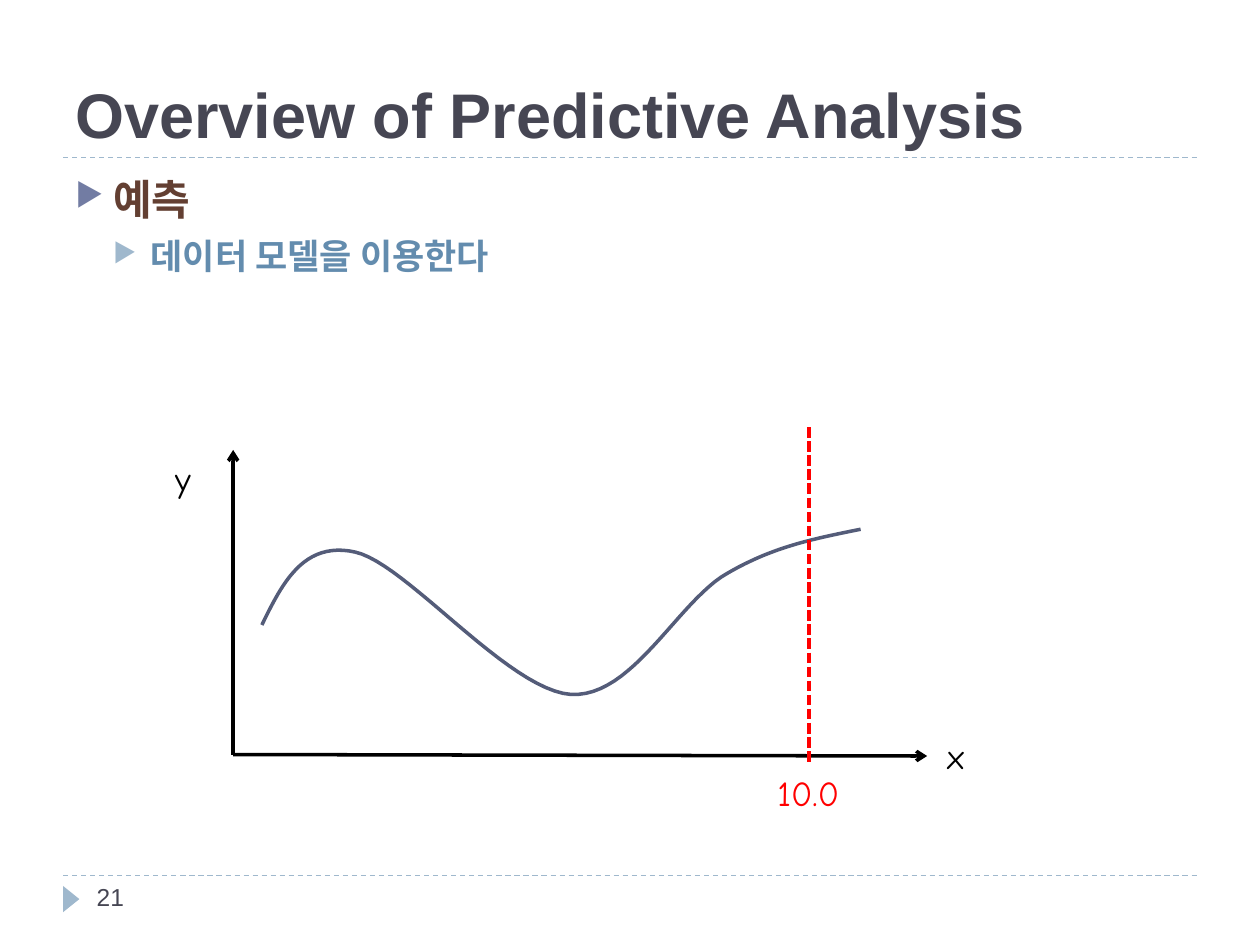
from dataclasses import dataclass

from lxml.etree import SubElement
from pptx import Presentation
from pptx.dml.color import RGBColor as RGB
from pptx.enum.dml import MSO_LINE as Dash
from pptx.enum.shapes import MSO_CONNECTOR as Conn, MSO_SHAPE as Kind
from pptx.enum.text import MSO_ANCHOR as Anchor, MSO_AUTO_SIZE as Fit
from pptx.oxml.ns import qn
from pptx.util import Cm, Pt


@dataclass(frozen=True)
class Theme:
    ink: str = "464653"
    pale: str = "9FB8CD"
    mark: str = "727CA3"
    brown: str = "633F32"
    blue: str = "638CAE"
    curve: str = "545C79"
    black: str = "000000"
    red: str = "FF0000"
    sans: str = "Arial"
    hand: str = "Comic Neue"
    title: int = 36
    head: int = 24
    text: int = 20
    foot: int = 14
    thin: float = 0.75
    thick: float = 2


theme = Theme()


def add_line(shapes, ends, color, width, dash=None, arrow=False):
    line = shapes.add_connector(Conn.STRAIGHT, *map(Cm, ends))
    line.line.color.rgb = RGB.from_string(color)
    for name, value in {"width": Pt(width), "dash_style": dash}.items():
        setattr(line.line, name, value)
    props = line._element.spPr
    if arrow:
        SubElement(props.find(qn("a:ln")), qn("a:tailEnd"), type="arrow")
    SubElement(props, qn("a:effectLst"))


def add_text(shapes, area, rows, font, bold=False, **frame):
    box = shapes.add_textbox(*map(Cm, area)).text_frame
    for name, value in ({"word_wrap": True} | frame).items():
        setattr(box, name, value)
    for i, (text, size, color, bullet) in enumerate(rows):
        para = box.add_paragraph() if i else box.paragraphs[0]
        if bullet:
            props = para._p.get_or_add_pPr()
            props.set("marL", str(Cm(0.76 * (i + 1))))
            props.set("indent", str(Cm(-0.76)))
            tint = SubElement(props, qn("a:buClr"))
            SubElement(tint, qn("a:srgbClr"), val=bullet)
            SubElement(props, qn("a:buSzPct"), val="76000")
            SubElement(props, qn("a:buChar"), char="▶")
            para.level = i
            para.space_before = Pt(6 if i else 0)
        run = para.add_run()
        run.text = text
        run.font.color.rgb = RGB.from_string(color)
        for name, value in {"name": font, "size": Pt(size), "bold": bold}.items():
            setattr(run.font, name, value)


deck = Presentation()
deck.slide_width, deck.slide_height = Cm(25.4), Cm(19.05)
slide = deck.slides.add_slide(deck.slide_layouts[6])
shapes = slide.shapes

for y in (17.65, 3.18):
    add_line(shapes, (1.27, y, 24.13, y), theme.pale, theme.thin, Dash.DASH)

wedge = shapes.add_shape(Kind.ISOSCELES_TRIANGLE, Cm(1.17), Cm(17.96), Cm(0.53), Cm(0.33))
wedge.rotation = 90
wedge.shadow.inherit = False
wedge.fill.solid()
wedge.fill.fore_color.rgb = RGB.from_string(theme.pale)
wedge.line.fill.background()

add_text(shapes, (1.27, 0.43, 22.86, 2.74),
         [("Overview of Predictive Analysis", theme.title, theme.ink, None)],
         theme.sans, True, vertical_anchor=Anchor.BOTTOM)
add_text(shapes, (1.27, 3.38, 22.86, 13.72),
         [("예측", theme.head, theme.brown, theme.mark),
          ("데이터 모델을 이용한다", theme.text, theme.blue, theme.pale)],
         theme.sans, True)

for end in ((18.69, 15.24), (4.7, 9.07)):
    add_line(shapes, (4.7, 15.21, *end), theme.black, theme.thick, arrow=True)

label = {"word_wrap": False, "auto_size": Fit.SHAPE_TO_FIT_TEXT}
for name, area in {"x": (18.85, 14.68, 0.94, 1.12), "y": (3.28, 9.09, 0.89, 1.12)}.items():
    add_text(shapes, area, [(name, theme.text, theme.black, None)], theme.hand, **label)

knots = [
    (5.28, 12.6), (5.69, 11.76), (6.12, 10.9),
    (7.16, 11.13), (8.18, 11.35), (10.26, 13.92),
    (11.51, 14), (12.75, 14.07), (13.67, 12.12),
    (14.66, 11.56), (15.62, 11), (16.48, 10.85),
    (17.35, 10.67),
]
steps = 24
dots = []
for i in range(0, len(knots) - 1, 3):
    for step in range(1, steps + 1):
        t = step / steps
        parts = ((1 - t) ** 3, 3 * t * (1 - t) ** 2, 3 * t * t * (1 - t), t ** 3)
        dots.append(tuple(Cm(sum(p * v for p, v in zip(parts, axis)))
                          for axis in zip(*knots[i:i + 4])))
pen = shapes.build_freeform(*map(Cm, knots[0]))
pen.add_line_segments(dots, close=False)
curve = pen.convert_to_shape()
curve.shadow.inherit = False
curve.fill.background()
curve.line.color.rgb = RGB.from_string(theme.curve)
curve.line.width = Pt(theme.thick)

query = shapes.add_group_shape().shapes
add_line(query, (16.31, 8.61, 16.31, 15.37), theme.red, theme.thick, Dash.SQUARE_DOT)
add_text(query, (15.42, 15.42, 1.88, 1.12),
         [("10.0", theme.text, theme.red, None)], theme.hand, **label)

add_text(shapes, (1.7, 17.65, 5.51, 1.02),
         [("21", theme.foot, theme.ink, None)], theme.sans)

deck.save("out.pptx")
